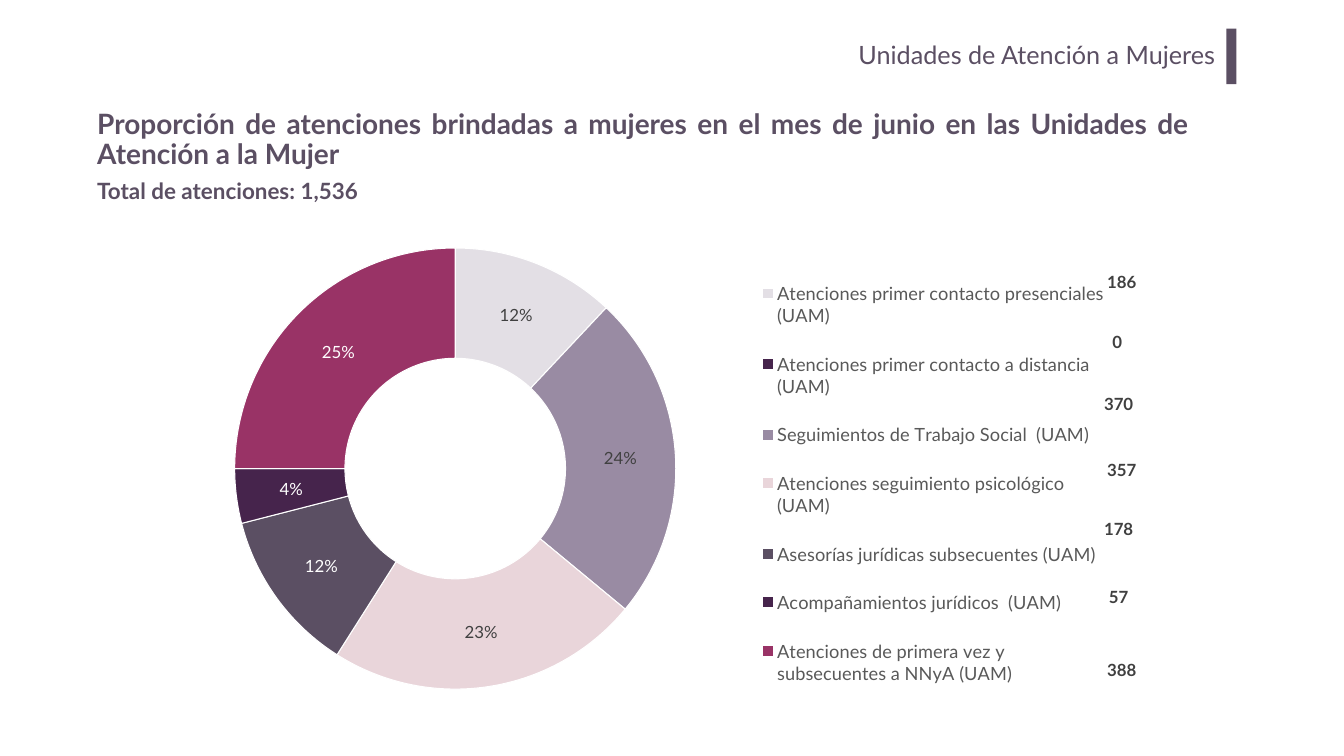
import pptx
import pptx.util
import pptx.chart.data
import pptx.dml.color
import pptx.enum.chart
import pptx.enum.shapes
import pptx.enum.text
import pptx.oxml

Pt = pptx.util.Pt
ALIGN = pptx.enum.text.PP_ALIGN
ANCHOR = pptx.enum.text.MSO_ANCHOR

HUES = {"plum": "5B4F63", "text": "404040", "key": "595959", "white": "FFFFFF",
        "pale": "E3DFE5", "dark": "46244C", "mauve": "998BA3",
        "pink": "E9D5DA", "wine": "993366"}

TITLES = [
    ("Unidades de Atención a Mujeres", (288.7, 49.4, 1461.6, 73.4),
     36, False, ALIGN.RIGHT, ANCHOR.TOP, (14.4, 7.2)),
    ("Proporción de atenciones brindadas a mujeres en el mes de junio en las "
     "Unidades de Atención a la Mujer", (131.8, 148.6, 1573.2, 104.4),
     40, True, ALIGN.JUSTIFY, ANCHOR.MIDDLE, (7.2, 3.6)),
    ("Total de atenciones: 1,536", (131.8, 249.1, 406.1, 46.1),
     32, True, ALIGN.LEFT, ANCHOR.TOP, (7.2, 3.6)),
]

COUNTS = [
    ("186", 1602.4, 384.5), ("0", 1596.2, 470.2), ("370", 1598, 558.7),
    ("357", 1602.4, 653), ("178", 1598, 738), ("57", 1598, 834.5),
    ("388", 1602.4, 938.9),
]

SLICES = [
    ("Atenciones primer contacto presenciales (UAM)", 12, "pale", "text"),
    ("Atenciones primer contacto a distancia (UAM)", 0, "dark", "white"),
    ("Seguimientos de Trabajo Social  (UAM)", 24, "mauve", "text"),
    ("Atenciones seguimiento psicológico (UAM)", 23, "pink", "text"),
    ("Asesorías jurídicas subsecuentes (UAM)", 12, "plum", "white"),
    ("Acompañamientos jurídicos  (UAM)", 4, "dark", "white"),
    ("Atenciones de primera vez y subsecuentes a NNyA (UAM)", 25, "wine", "white"),
]

BAR = (1751.8, 41, 14.4, 79.2)
CHART = (254.9, 302.4, 1409.8, 745.9)
RING = (0.057, 0.069, 0.447, 0.846)
KEY = (0.59, 0.085, 0.35, 0.87)


def hue(name):
    return pptx.dml.color.RGBColor.from_string(HUES[name])


def style(font, size, tone, bold=False):
    font.name = "Lato"
    font.size = Pt(size)
    font.bold = bold
    font.color.rgb = hue(tone)


def write(slide, text, box, size, tone, bold, align, anchor, inset):
    frame = slide.shapes.add_textbox(*map(Pt, box)).text_frame
    frame.word_wrap = True
    frame.vertical_anchor = anchor
    frame.margin_left = frame.margin_right = Pt(inset[0])
    frame.margin_top = frame.margin_bottom = Pt(inset[1])
    para = frame.paragraphs[0]
    para.text = text
    para.alignment = align
    style(para.font, size, tone, bold)
    return para


def place(part, spot, box, inner=False):
    for old in part.findall("{*}layout"):
        part.remove(old)
    rows = '<c:layoutTarget val="inner"/>' if inner else ""
    rows += '<c:xMode val="edge"/><c:yMode val="edge"/>'
    rows += "".join(f'<c:{tag} val="{val}"/>' for tag, val in zip("xywh", box))
    part.insert(spot, pptx.oxml.parse_xml(
        '<c:layout xmlns:c="http://schemas.openxmlformats.org/drawingml/2006/chart">'
        f"<c:manualLayout>{rows}</c:manualLayout></c:layout>"))


def show(labels):
    labels.show_percentage = True
    labels.show_value = False
    labels.number_format = "0%"
    labels.number_format_is_linked = False


def draw(slide):
    data = pptx.chart.data.CategoryChartData()
    data.categories = [row[0] for row in SLICES]
    data.add_series("Series 1", [row[1] for row in SLICES])
    kind = pptx.enum.chart.XL_CHART_TYPE.DOUGHNUT
    chart = slide.shapes.add_chart(kind, *map(Pt, CHART), data).chart
    chart.has_title = False
    chart.font.name = "Arial"
    chart.font.size = Pt(10)

    chart.has_legend = True
    legend = chart.legend
    legend.position = pptx.enum.chart.XL_LEGEND_POSITION.RIGHT
    legend.include_in_layout = False
    style(legend.font, 26, "key")
    place(legend._element, 1, KEY)
    place(chart._chartSpace.chart.plotArea, 0, RING, True)

    plot = chart.plots[0]
    plot.vary_by_categories = True
    plot._element.find("{*}holeSize").set("val", "50")
    series = plot.series[0]
    labels = series.data_labels
    show(labels)
    style(labels.font, 24, "text")
    for i, (_, _, fill, tone) in enumerate(SLICES):
        point = series.points[i]
        point.format.fill.solid()
        point.format.fill.fore_color.rgb = hue(fill)
        point.format.line.color.rgb = hue("white")
        point.format.line.width = Pt(1.5)
        if tone == "white":
            label = point.data_label
            style(label.font, 24, tone)
            spot = label._dLbl
            spot.find("{*}showVal").set("val", "0")
            spot.find("{*}showPercent").set("val", "1")


def main():
    deck = pptx.Presentation()
    deck.slide_width, deck.slide_height = Pt(1920), Pt(1080)
    slide = deck.slides.add_slide(deck.slide_layouts[6])

    draw(slide)
    paras = [write(slide, text, box, size, "plum", *rest)
             for text, box, size, *rest in TITLES]
    paras[1].line_spacing = 0.9

    bar = slide.shapes.add_shape(
        pptx.enum.shapes.MSO_SHAPE.RECTANGLE, *map(Pt, BAR))
    bar.shadow.inherit = False
    bar.fill.solid()
    bar.fill.fore_color.rgb = hue("plum")
    bar.line.fill.background()

    for text, mid, top in COUNTS:
        write(slide, text, (mid - 30, top, 60, 36), 24, "text", True,
              ALIGN.CENTER, ANCHOR.TOP, (7.2, 3.6))
    deck.save("out.pptx")


if __name__ == "__main__":
    main()
